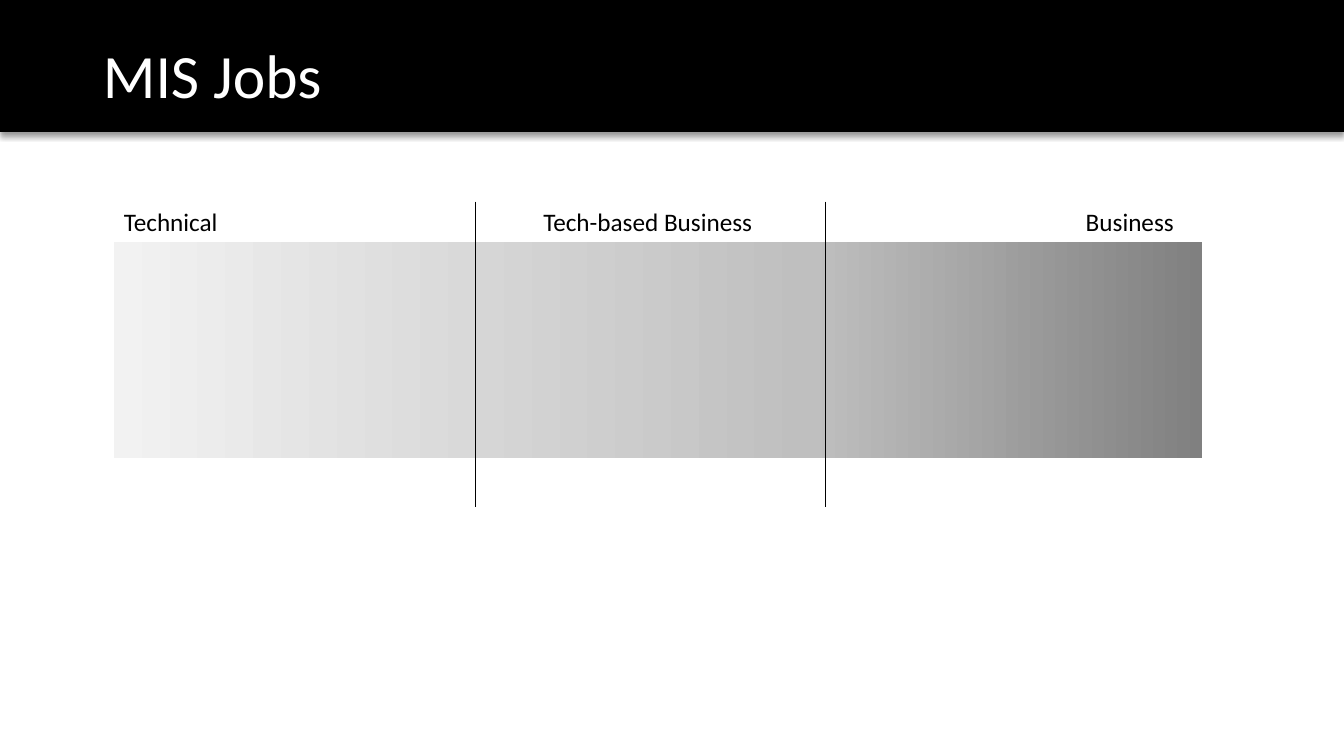
from copy import deepcopy
from dataclasses import dataclass

from lxml.etree import SubElement
from pptx import Presentation
from pptx.dml.color import RGBColor
from pptx.enum.shapes import MSO_CONNECTOR, MSO_SHAPE
from pptx.enum.text import MSO_ANCHOR, MSO_AUTO_SIZE, PP_ALIGN
from pptx.oxml import parse_xml
from pptx.oxml.ns import nsdecls, qn
from pptx.util import Inches, Pt


@dataclass(frozen=True)
class Theme:
    font: str = "Calibri"
    dark: str = "000000"
    light: str = "FFFFFF"
    scale: tuple = ((0, "F2F2F2"), (64, "BFBFBF"), (100, "808080"))
    title: int = 44
    label: int = 18
    rule: float = 0.5


THEME = Theme()


def style(target, **values):
    for name, value in values.items():
        setattr(target, name, value)


def place(shape, left, top, width, height):
    sides = dict(left=left, top=top, width=width, height=height)
    style(shape, **{name: Inches(size) for name, size in sides.items()})


def write(frame, text, size, color):
    para = frame.paragraphs[0]
    para.alignment = PP_ALIGN.LEFT
    run = para.add_run()
    run.text = text
    style(run.font, name=THEME.font, size=Pt(size))
    run.font.color.rgb = RGBColor.from_string(color)
    return para


def add_rect(slide, *box):
    rect = slide.shapes.add_shape(MSO_SHAPE.RECTANGLE, *map(Inches, box))
    rect.shadow.inherit = False
    rect.line.fill.background()
    return rect


def add_band(slide):
    band = add_rect(slide, 0, 0, 13.33, 1.31)
    band.fill.solid()
    band.fill.fore_color.rgb = RGBColor.from_string(THEME.dark)
    # Soft shadow below the band
    effects = band._element.spPr.find(qn("a:effectLst"))
    effects.append(parse_xml(
        f'<a:outerShdw {nsdecls("a")} blurRad="{Pt(4)}" dist="{Pt(3)}" '
        f'dir="5400000" algn="t" rotWithShape="0"><a:srgbClr val="{THEME.dark}">'
        '<a:alpha val="40000"/></a:srgbClr></a:outerShdw>'))
    # Behind the title
    slide.shapes._spTree.insert(2, band._element)


def set_title(slide, text):
    title = slide.shapes.title
    place(title, 0.92, 0.4, 11.5, 0.91)
    style(title.text_frame, vertical_anchor=MSO_ANCHOR.TOP, word_wrap=True,
          auto_size=MSO_AUTO_SIZE.NONE)
    para = write(title.text_frame, text, THEME.title, THEME.light)
    para.line_spacing = 0.9


def add_scale(slide):
    scale = add_rect(slide, 1.13, 2.4, 10.79, 2.14)
    scale.fill.gradient()
    scale.fill.gradient_angle = 0
    stops = scale._element.spPr.find(qn("a:gradFill")).find(qn("a:gsLst"))
    model = deepcopy(stops[0])
    stops.clear()
    for point, color in THEME.scale:
        stop = deepcopy(model)
        stop.clear()
        stop.set("pos", str(point * 1000))
        SubElement(stop, qn("a:srgbClr")).set("val", color)
        stops.append(stop)


def add_label(slide, text, left, width):
    box = slide.shapes.add_textbox(*map(Inches, (left, 2, width, 0.4)))
    style(box.text_frame, word_wrap=False,
          auto_size=MSO_AUTO_SIZE.SHAPE_TO_FIT_TEXT)
    write(box.text_frame, text, THEME.label, THEME.dark)


def add_rule(slide, left):
    rule = slide.shapes.add_connector(
        MSO_CONNECTOR.STRAIGHT, *map(Inches, (left, 2, left, 5.03)))
    rule.line.width = Pt(THEME.rule)
    rule.line.color.rgb = RGBColor.from_string(THEME.dark)
    SubElement(rule._element.spPr, qn("a:effectLst"))


def main():
    deck = Presentation()
    style(deck, slide_width=Inches(13.33), slide_height=Inches(7.5))
    slide = deck.slides.add_slide(deck.slide_layouts[5])

    # Header
    add_band(slide)
    set_title(slide, "MIS Jobs")

    # Range of jobs, split in three
    add_scale(slide)
    for left in (4.71, 8.19):
        add_rule(slide, left)
    for text, left, width in (("Technical", 1.13, 1.14),
                              ("Tech-based Business", 5.29, 2.3),
                              ("Business", 10.67, 1.08)):
        add_label(slide, text, left, width)

    deck.save("out.pptx")


if __name__ == "__main__":
    main()
